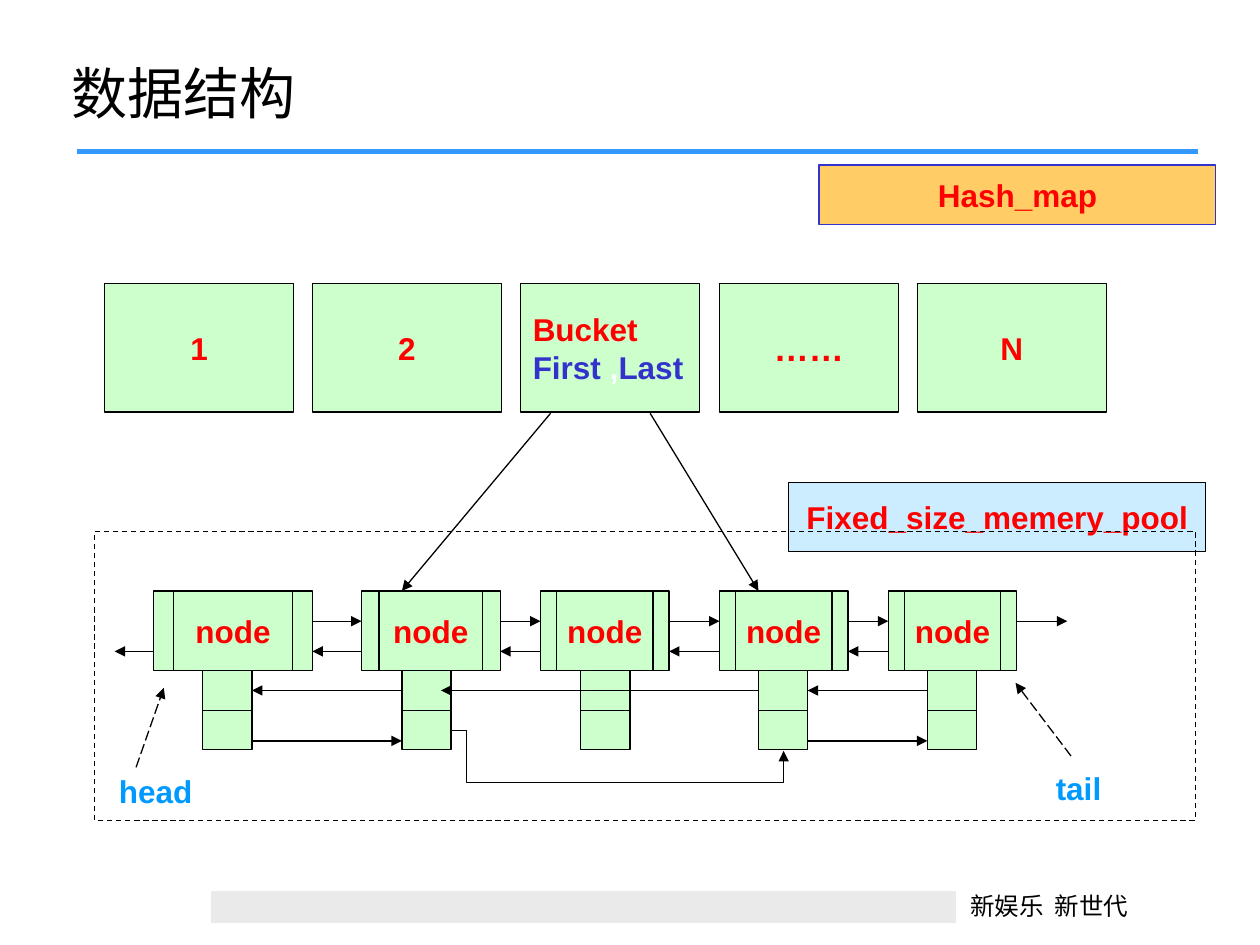
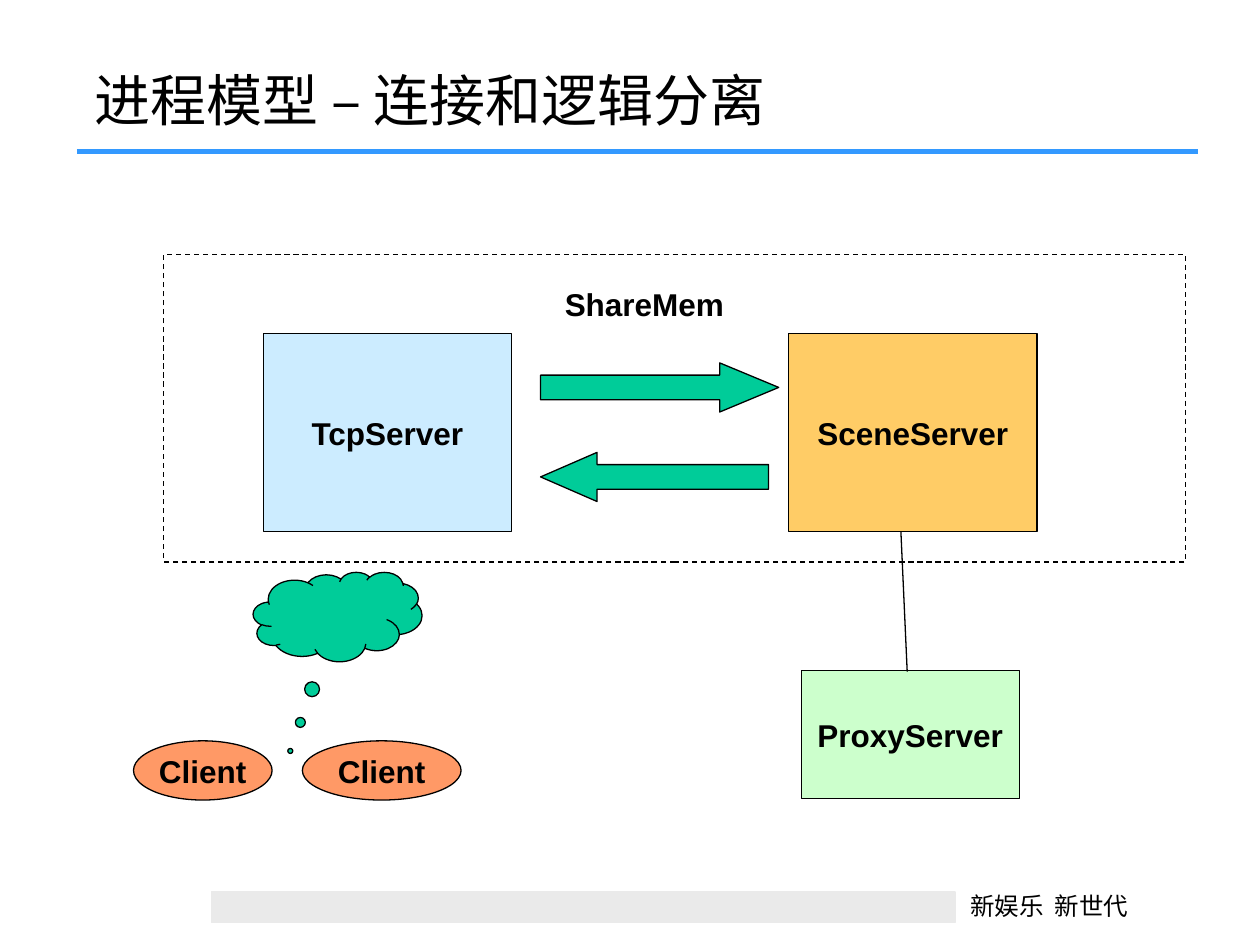
from lxml.etree import SubElement
from pptx import Presentation
from pptx.dml.color import RGBColor
from pptx.enum.dml import MSO_LINE
from pptx.enum.shapes import MSO_CONNECTOR, MSO_SHAPE
from pptx.enum.text import MSO_ANCHOR, MSO_AUTO_SIZE, PP_ALIGN
from pptx.oxml.ns import qn
from pptx.util import Inches, Pt

COLORS = {
    "black": "000000",
    "white": "FFFFFF",
    "red": "FF0000",
    "navy": "3333CC",
    "rule": "3399FF",
    "band": "EAEAEA",
    "mint": "CCFFCC",
    "sky": "CCECFF",
    "gold": "FFCC66",
    "teal": "00CC99",
    "coral": "FF9966",
    "label": "0099FF",
}
CJK = "Noto Sans CJK SC"


def color(name):
    return RGBColor.from_string(COLORS[name])


def write(frame, lines, size=18, font="Arial", bold=True, align=PP_ALIGN.CENTER,
          anchor=MSO_ANCHOR.MIDDLE):
    frame.word_wrap = False
    frame.auto_size = MSO_AUTO_SIZE.NONE
    frame.vertical_anchor = anchor
    for i, runs in enumerate(lines):
        para = frame.add_paragraph() if i else frame.paragraphs[0]
        para.alignment = align
        for text, tint in runs:
            run = para.add_run()
            run.text = text
            run.font.size = Pt(size)
            run.font.name = font
            run.font.bold = bold
            run.font.color.rgb = color(tint)


def add_box(slide, place, fill=None, text=None, tint="black", kind=MSO_SHAPE.RECTANGLE,
            edge="black", dash=None, adjust=(), size=18):
    box = slide.shapes.add_shape(kind, *map(Inches, place))
    box.shadow.inherit = False
    if fill:
        box.fill.solid()
        box.fill.fore_color.rgb = color(fill)
    else:
        box.fill.background()
    box.line.color.rgb = color(edge)
    box.line.width = Pt(0.75)
    if dash:
        box.line.dash_style = dash
    for i, value in enumerate(adjust):
        box.adjustments[i] = value
    if text:
        write(box.text_frame, [[(text, tint)]], size)
    return box


def add_label(slide, place, text, tint="black", **style):
    label = slide.shapes.add_textbox(*map(Inches, place))
    write(label.text_frame, [[(text, tint)]], **style)
    return label


def add_line(slide, start, end, tint="black", width=0.75, dash=None, arrow=True,
             kind=MSO_CONNECTOR.STRAIGHT):
    line = slide.shapes.add_connector(kind, *map(Inches, start + end))
    line.line.color.rgb = color(tint)
    line.line.width = Pt(width)
    if dash:
        line.line.dash_style = dash
    props = line._element.spPr
    if arrow:
        SubElement(props.find(qn("a:ln")), qn("a:tailEnd"), type="triangle")
    SubElement(props, qn("a:effectLst"))
    return line


def add_bend(slide, start, end, adjust):
    line = add_line(slide, start, end, kind=MSO_CONNECTOR.ELBOW)
    shape = line._element.spPr.find(qn("a:prstGeom"))
    shape.set("prst", "bentConnector4")
    guides = shape.find(qn("a:avLst"))
    for i, value in enumerate(adjust, 1):
        SubElement(guides, qn("a:gd"), name=f"adj{i}", fmla=f"val {round(value * 100000)}")


def add_shade(label):
    props = label.text_frame.paragraphs[0].runs[0].font._element
    effect = SubElement(props, qn("a:effectLst"))
    props.find(qn("a:solidFill")).addnext(effect)
    shade = SubElement(effect, qn("a:outerShdw"), dist="35921", dir="2700000")
    SubElement(shade, qn("a:srgbClr"), val=COLORS["black"])


def add_page(deck, text, place, inset=0.1):
    slide = deck.slides.add_slide(deck.slide_layouts[5])
    title = slide.shapes.title
    title.left, title.top, title.width, title.height = map(Inches, place)
    write(title.text_frame, [[(text, "black")]], 32, "Calibri", False,
          PP_ALIGN.LEFT, MSO_ANCHOR.BOTTOM)
    title.text_frame.word_wrap = True
    title.text_frame.margin_left = Inches(inset)
    add_line(slide, (0.61, 1.2), (9.51, 1.2), "rule", 3, arrow=False)
    add_box(slide, (1.68, 7.08, 5.9, 0.24), "band", edge="band")
    foot = add_label(slide, (7.6, 7.02, 1.48, 0.34), "新娱乐  新世代", size=14, font=CJK,
                     bold=False, align=PP_ALIGN.LEFT, anchor=MSO_ANCHOR.TOP)
    props = foot.text_frame.paragraphs[0].runs[0].font._element
    SubElement(props, qn("a:ea"), typeface=CJK)
    return slide


def add_buckets(slide):
    for left, width, text, size in (
        (0.83, 1.5, "1", 18),
        (2.48, 1.5, "2", 18),
        (5.71, 1.42, "……", 20),
        (7.28, 1.5, "N", 18),
    ):
        add_box(slide, (left, 2.25, width, 1.02), "mint", text, "red", size=size)
    bucket = add_box(slide, (4.13, 2.25, 1.42, 1.02), "mint")
    write(bucket.text_frame,
          [[("Bucket", "red")], [("First", "navy"), (" ,", "white"), ("Last", "navy")]],
          align=PP_ALIGN.LEFT)
    add_line(slide, (4.37, 3.28), (3.19, 4.69))
    add_line(slide, (5.16, 3.28), (6.02, 4.69))


def add_nodes(slide):
    nodes = [(1.22, 1.26), (2.87, 1.1), (4.29, 1.02), (5.71, 1.02), (7.05, 1.02)]
    for left, width in nodes:
        add_box(slide, (left, 4.69, width, 0.63), "mint", "node", "red",
                MSO_SHAPE.FLOWCHART_PREDEFINED_PROCESS)
    ends = [left + width for left, width in nodes]
    starts = [left for left, _ in nodes]
    for end, start in zip(ends, starts[1:] + [8.47]):
        add_line(slide, (end, 4.93), (start, 4.93))
    for start, end in zip(starts, [0.91] + ends):
        add_line(slide, (start, 5.17), (end, 5.17))


def add_cells(slide):
    lefts = [1.61, 3.19, 4.61, 6.02, 7.36]
    cells = [add_box(slide, (left, 5.32, 0.39, 0.32), "mint") for left in lefts]
    for left in lefts:
        add_box(slide, (left, 5.64, 0.39, 0.31), "mint")
    for a, b in ((0, 1), (3, 4)):
        near, far = lefts[a] + 0.39, lefts[b]
        add_line(slide, (near, 5.88), (far, 5.88))
        back = add_line(slide, (far, 5.48), (near, 5.48))
        back.begin_connect(cells[b], 1)
        back.end_connect(cells[a], 3)
    skip = add_line(slide, (6.02, 5.48), (3.5, 5.48))
    skip.begin_connect(cells[3], 1)
    add_bend(slide, (3.58, 5.8), (6.22, 5.96), (0.046, 2.588))


def add_data(deck):
    slide = add_page(deck, "数据结构", (0.35, 0.21, 9.29, 0.84), 0.22)
    add_box(slide, (6.5, 1.31, 3.15, 0.47), "gold", "Hash_map", "red", edge="navy")
    add_box(slide, (6.26, 3.83, 3.31, 0.55), "sky", "Fixed_size_memery_pool", "red")
    add_buckets(slide)
    add_nodes(slide)
    add_cells(slide)
    head = add_label(slide, (0.83, 6.08, 0.81, 0.4), "head", "label")
    add_shade(head)
    add_label(slide, (8.01, 6.06, 1.1, 0.39), "tail", "label")
    add_line(slide, (1.08, 6.09), (1.3, 5.46), dash=MSO_LINE.LONG_DASH)
    add_line(slide, (8.5, 6), (8.06, 5.42), dash=MSO_LINE.LONG_DASH)
    add_box(slide, (0.75, 4.22, 8.74, 2.29), dash=MSO_LINE.DASH)


def add_model(deck):
    slide = add_page(deck, "进程模型 – 连接和逻辑分离", (0.65, 0.47, 8.75, 0.63))
    add_box(slide, (2.09, 2.65, 1.97, 1.57), "sky", "TcpServer")
    add_box(slide, (6.26, 2.65, 1.97, 1.57), "gold", "SceneServer")
    add_box(slide, (6.36, 5.32, 1.73, 1.02), "mint", "ProxyServer")
    add_line(slide, (7.15, 4.22), (7.2, 5.33), arrow=False)
    for place, kind, adjust in (
        ((4.29, 2.88, 1.89, 0.39), MSO_SHAPE.RIGHT_ARROW, (0.5, 1.2)),
        ((4.29, 3.59, 1.81, 0.39), MSO_SHAPE.LEFT_ARROW, (0.5, 1.15)),
        ((2.01, 4.54, 1.34, 0.71), MSO_SHAPE.CLOUD_CALLOUT, (-0.28, 1.5)),
    ):
        add_box(slide, place, "teal", kind=kind, adjust=adjust)
    for left, width in ((1.06, 1.1), (2.4, 1.26)):
        add_box(slide, (left, 5.88, width, 0.47), "coral", "Client", kind=MSO_SHAPE.OVAL)
    add_label(slide, (4.13, 2.18, 1.97, 0.47), "ShareMem")
    add_box(slide, (1.3, 2.02, 8.11, 2.44), dash=MSO_LINE.DASH)


def main():
    deck = Presentation()
    deck.slide_width, deck.slide_height = Inches(10), Inches(7.5)
    add_data(deck)
    add_model(deck)
    deck.save("out.pptx")


if __name__ == "__main__":
    main()
